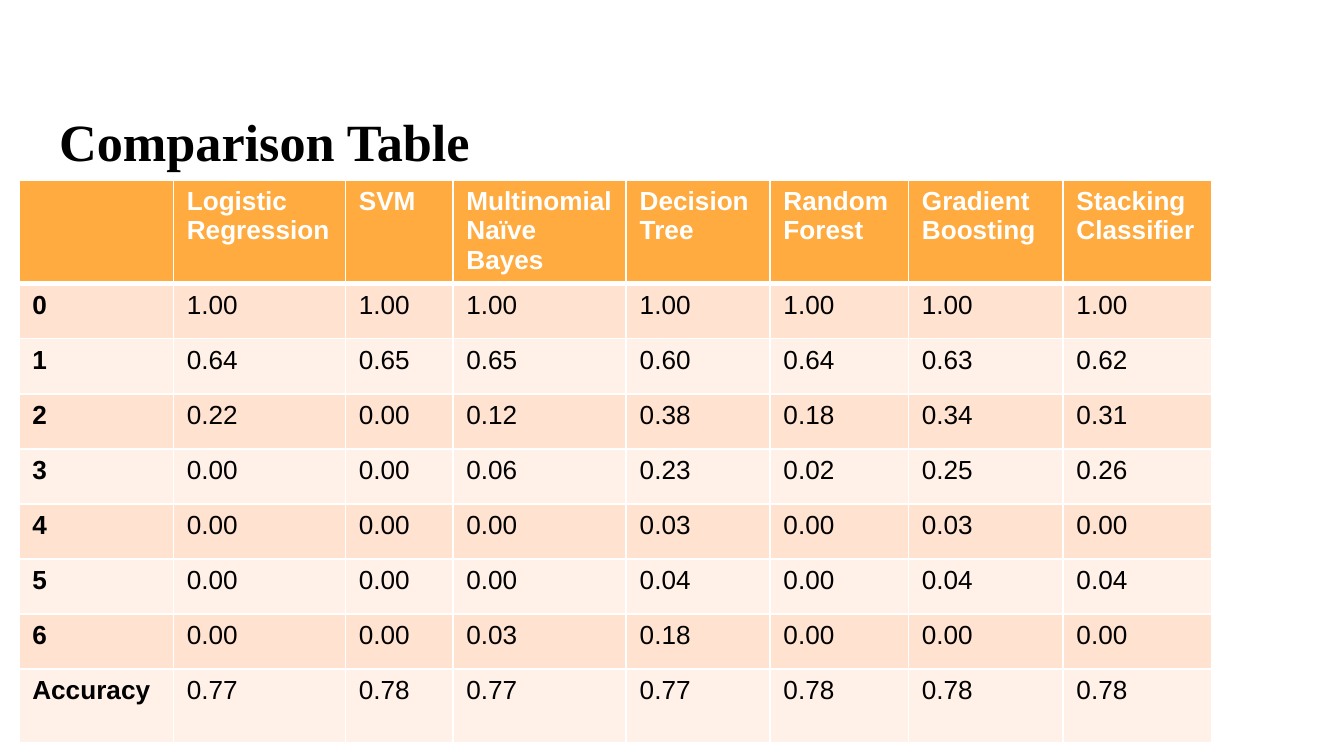
from lxml.etree import SubElement
from pptx import Presentation
from pptx.dml.color import RGBColor
from pptx.enum.text import MSO_ANCHOR, MSO_AUTO_SIZE, PP_ALIGN
from pptx.oxml.ns import qn
from pptx.util import Inches, Pt


def style_text(text_frame, font_name, size, color, bold):
    for paragraph in text_frame.paragraphs:
        paragraph.alignment = PP_ALIGN.LEFT
        for run in paragraph.runs:
            run.font.name = font_name
            run.font.size = Pt(size)
            run.font.bold = bold
            run.font.color.rgb = RGBColor.from_string(color)


def add_border(cell, side, width, color):
    """Side is L, R, T or B; call before the cell gets its fill."""
    line = SubElement(cell._tc.get_or_add_tcPr(), qn(f"a:ln{side}"), w=str(Pt(width)))
    fill = SubElement(line, qn("a:solidFill"))
    SubElement(fill, qn("a:srgbClr"), val=color)


WHITE, BLACK, ORANGE = "FFFFFF", "000000", "FFAB40"
BANDS = ["FFF1E8", "FFE2CF"]

scores = [
    ["", "Logistic Regression", "SVM", "Multinomial\nNaïve Bayes", "Decision\nTree",
     "Random\nForest", "Gradient Boosting", "Stacking\nClassifier"],
    ["0", "1.00", "1.00", "1.00", "1.00", "1.00", "1.00", "1.00"],
    ["1", "0.64", "0.65", "0.65", "0.60", "0.64", "0.63", "0.62"],
    ["2", "0.22", "0.00", "0.12", "0.38", "0.18", "0.34", "0.31"],
    ["3", "0.00", "0.00", "0.06", "0.23", "0.02", "0.25", "0.26"],
    ["4", "0.00", "0.00", "0.00", "0.03", "0.00", "0.03", "0.00"],
    ["5", "0.00", "0.00", "0.00", "0.04", "0.00", "0.04", "0.04"],
    ["6", "0.00", "0.00", "0.03", "0.18", "0.00", "0.00", "0.00"],
    ["Accuracy", "0.77", "0.78", "0.77", "0.77", "0.78", "0.78", "0.78"],
]
column_widths = [1.15, 1.28, 0.8, 1.29, 1.07, 1.03, 1.15, 1.11]
row_heights = [0.77] + [0.41] * 7 + [0.55]

prs = Presentation()
prs.slide_width = Inches(10)
prs.slide_height = Inches(10 * 9 / 16)
slide = prs.slides.add_slide(prs.slide_layouts[5])

# Title
title = slide.shapes.title
title.left, title.top = Inches(0.34), Inches(0.71)
title.width, title.height = Inches(9.32), Inches(0.63)
heading = title.text_frame
heading.text = "Comparison Table"
heading.word_wrap = True
heading.auto_size = MSO_AUTO_SIZE.NONE
heading.vertical_anchor = MSO_ANCHOR.TOP
heading.margin_left = heading.margin_right = Inches(0.1)
heading.margin_top = heading.margin_bottom = Inches(0.1)
style_text(heading, "Times New Roman", 28, BLACK, True)

# Scores of each classifier by class
table = slide.shapes.add_table(
    len(scores), len(column_widths), Inches(0.14), Inches(1.34),
    Inches(sum(column_widths)), Inches(sum(row_heights))).table
for column, width in zip(table.columns, column_widths):
    column.width = Inches(width)
for row, height in zip(table.rows, row_heights):
    row.height = Inches(height)

for r, row_texts in enumerate(scores):
    is_header = r == 0
    for c, text in enumerate(row_texts):
        cell = table.cell(r, c)
        cell.text = text
        style_text(cell.text_frame, "Arial", 14, WHITE if is_header else BLACK,
                   is_header or c == 0)
        for side in "LRTB":
            under_header = (r, side) in [(0, "B"), (1, "T")]
            add_border(cell, side, 3 if under_header else 1, WHITE)
        cell.fill.solid()
        cell.fill.fore_color.rgb = RGBColor.from_string(
            ORANGE if is_header else BANDS[r % 2])

prs.save("out.pptx")
